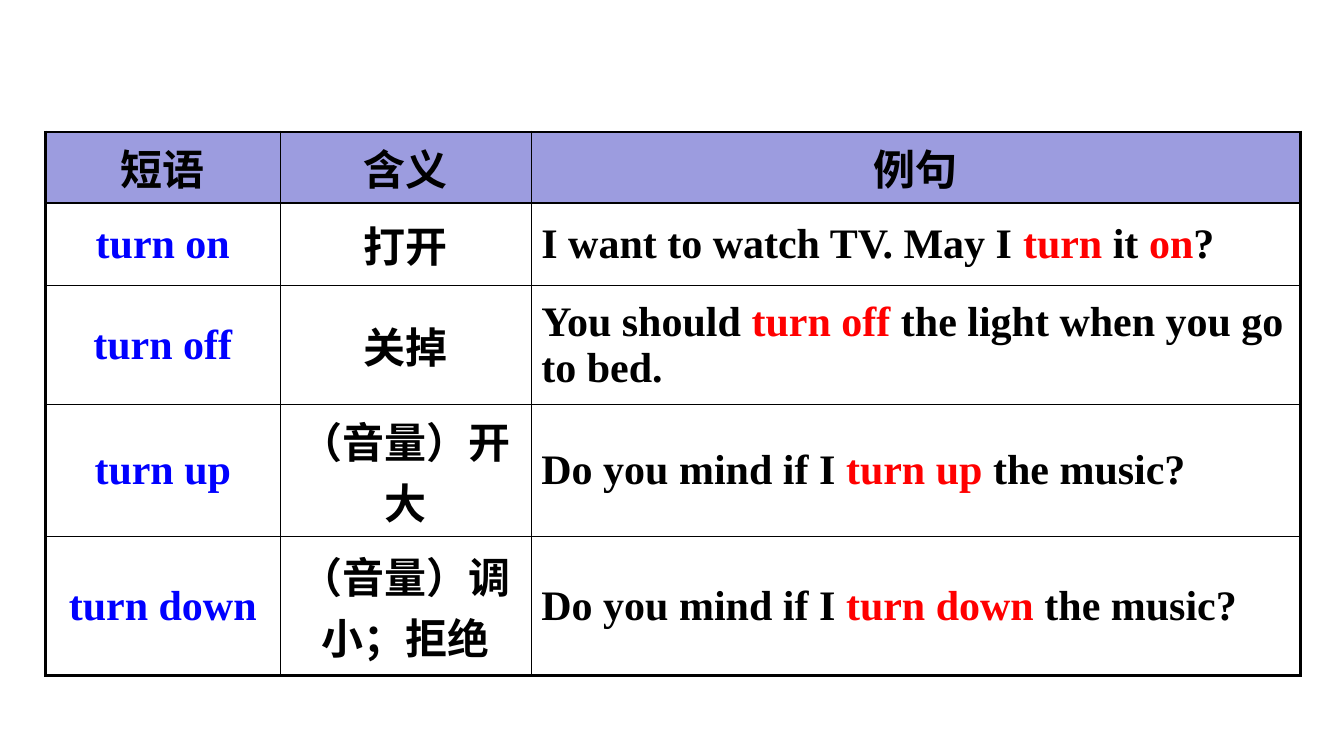
from lxml.etree import SubElement as Sub
from pptx import Presentation as Deck
from pptx.dml.color import RGBColor as Rgb
from pptx.enum.text import MSO_ANCHOR as Anchor, PP_ALIGN as Align
from pptx.oxml.ns import qn
from pptx.util import Inches, Pt

HEAD = ["短语", "含义", "例句"]
ROWS = [
    ["turn on", "打开", "I want to watch TV. May I |turn| it |on|?"],
    ["turn off", "关掉", "You should |turn off |the light when you go to bed."],
    ["turn up", "（音量）开大", "Do you mind if I |turn up |the music?"],
    ["turn down", "（音量）调小；拒绝", "Do you mind if I |turn down |the music?"],
]
WIDTHS = [2.33, 2.49, 7.63]
HEIGHTS = [0.6, 0.82, 1.18, 1.07, 1.38]
BLACK, BLUE, RED, LILAC = "000000", "0000FF", "FF0000", "9C9CDF"
THIN, THICK = 1, 2.25


def color(code):
    """Turn a hex string into a colour."""
    return Rgb.from_string(code)


class Page:
    """Holds the text style and the current slide."""

    style = {"name": "Times New Roman", "size": Pt(30), "bold": True}

    def __init__(self, deck):
        """Add a blank slide."""
        self.slide = deck.slides.add_slide(deck.slide_layouts[6])

    def label(self, cell, text, tint, align):
        """Fill a cell with text whose parts between bars are red."""
        cell.vertical_anchor = Anchor.MIDDLE
        para = cell.text_frame.paragraphs[0]
        para.alignment = align
        space = Sub(para._p.get_or_add_pPr(), qn("a:spcBef"))
        Sub(space, qn("a:spcPct"), val="20000")
        for i, part in enumerate(text.split("|")):
            run = para.add_run()
            run.text = part
            for key, value in self.style.items():
                setattr(run.font, key, value)
            run.font.color.rgb = color(RED if i % 2 else tint)

    def border(self, cell, sides):
        """Draw the four sides of a cell."""
        props = cell._tc.get_or_add_tcPr()
        for side, width in sides.items():
            line = Sub(props, qn(f"a:ln{side}"), w=str(Pt(width)))
            fill = Sub(line, qn("a:solidFill"))
            Sub(fill, qn("a:srgbClr"), val=BLACK)

    def table(self, left, top, rows, widths, heights):
        """Add a table with a thick frame and thin inner lines."""
        size = Inches(sum(widths)), Inches(sum(heights))
        grid = self.slide.shapes.add_table(
            len(rows), len(widths), Inches(left), Inches(top), *size).table
        grid.first_row = grid.horz_banding = False
        for col, width in zip(grid.columns, widths):
            col.width = Inches(width)
        for row, height in zip(grid.rows, heights):
            row.height = Inches(height)
        end, last = len(rows) - 1, len(widths) - 1
        for r, row in enumerate(rows):
            for c, text in enumerate(row):
                cell = grid.cell(r, c)
                edges = {"L": c == 0, "R": c == last, "T": r == 0, "B": r == end}
                self.border(cell, {k: THICK if v else THIN for k, v in edges.items()})
                if r == 0:
                    cell.fill.solid()
                    cell.fill.fore_color.rgb = color(LILAC)
                else:
                    cell.fill.background()
                tint = BLUE if r and c == 0 else BLACK
                align = Align.LEFT if r and c == last else Align.CENTER
                self.label(cell, text, tint, align)


def main():
    """Build and save the slide."""
    deck = Deck()
    deck.slide_width, deck.slide_height = Inches(13.33), Inches(7.5)
    Page(deck).table(0.45, 1.31, [HEAD] + ROWS, WIDTHS, HEIGHTS)
    deck.save("out.pptx")


if __name__ == "__main__":
    main()
